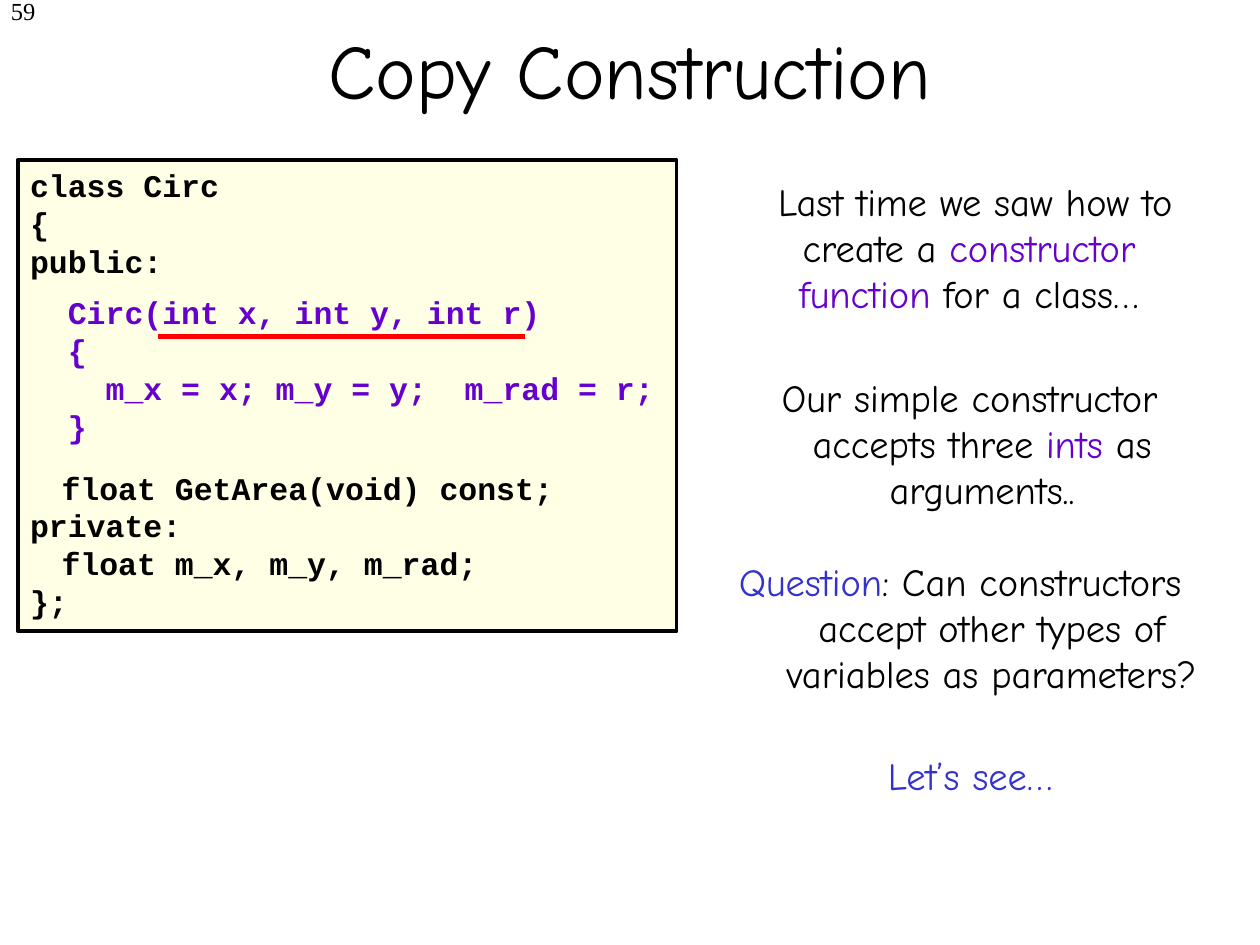
from dataclasses import dataclass

from lxml.etree import SubElement
from pptx import Presentation
from pptx.dml.color import RGBColor as RGB
from pptx.enum.shapes import MSO_CONNECTOR as CONN, MSO_SHAPE as SHAPE
from pptx.enum.text import MSO_ANCHOR as ANCHOR, PP_ALIGN as ALIGN
from pptx.oxml.ns import qn
from pptx.util import Inches, Pt


@dataclass(frozen=True)
class Theme:
    """Colours, fonts and type sizes of the slide."""
    ink: RGB = RGB(0x00, 0x00, 0x00)
    purple: RGB = RGB(0x66, 0x00, 0xCC)
    blue: RGB = RGB(0x33, 0x33, 0xCC)
    red: RGB = RGB(0xFF, 0x00, 0x00)
    cream: RGB = RGB(0xFF, 0xFF, 0xE5)
    prose: str = "Comic Neue"
    code: str = "Courier New"
    number: str = "Times New Roman"
    title_size: int = 44
    prose_size: int = 22
    code_size: int = 18
    number_size: int = 14
    leading: float = 1.2


T = Theme()
COLS, ROWS = 100, 75
CLASS_TOP = ["class Circ", "{", "public:"]
CLASS_REST = ["\tfloat GetArea(void) const;", "private:",
              "\tfloat m_x, m_y, m_rad;", "};"]
CONSTRUCTOR = [" Circ(int x, int y, int r)", " {",
               "   m_x = x; m_y = y;  m_rad = r;", " }"]
HIDDEN_LINES = 5
NOTES = [
    ((53.8, 13.6, 41.2, 12.1), 0.1,
     [("Last time we saw how to create a ", T.ink),
      ("constructor function", T.purple), (" for a class…", T.ink)]),
    ((56.3, 29.2, 38.3, 12.1), -0.2,
     [("Our simple constructor accepts three ", T.ink),
      ("ints", T.purple), (" as arguments..", T.ink)]),
    ((54.1, 43.8, 44.2, 12), -0.5,
     [("Question", T.blue),
      (": Can constructors accept other types of variables as parameters?", T.ink)]),
    ((55.8, 59.2, 42.4, 4.7), -0.5, [("Let’s see…", T.blue)]),
]


def grid(prs, *cells):
    """Turn alternating column and row counts into slide lengths."""
    units = (prs.slide_width / COLS, prs.slide_height / ROWS)
    return [round(n * units[i % 2]) for i, n in enumerate(cells)]


def style(r, font, size, color, bold=False):
    """Format one run."""
    r.font.name, r.font.size, r.font.bold = font, Pt(size), bold
    r.font.color.rgb = color


def add_box(prs, s, area):
    """Add an empty, wrapping text box."""
    sp = s.shapes.add_textbox(*grid(prs, *area))
    sp.text_frame.word_wrap = True
    return sp


def set_title(prs, s, text):
    """Place and format the title placeholder."""
    sp = s.shapes.title
    sp.left, sp.top, sp.width, sp.height = grid(prs, 7.5, -0.8, 85, 12.5)
    tf = sp.text_frame
    tf.text, tf.vertical_anchor = text, ANCHOR.MIDDLE
    p = tf.paragraphs[0]
    p.alignment = ALIGN.CENTER
    style(p.runs[0], T.prose, T.title_size, T.ink)


def add_number(prs, s, text):
    """Add the slide number in the top left corner."""
    p = add_box(prs, s, (-17, -0.8, 20.8, 5)).text_frame.paragraphs[0]
    p.text, p.alignment = text, ALIGN.RIGHT
    style(p.runs[0], T.number, T.number_size, T.ink)


def add_note(prs, s, area, first, parts):
    """Add a centred remark with its own first-line indent."""
    p = add_box(prs, s, area).text_frame.paragraphs[0]
    p.alignment, p.line_spacing = ALIGN.CENTER, Pt(T.prose_size * T.leading)
    pPr = p._p.get_or_add_pPr()
    pPr.set("marL", str(Inches(0.5)))
    pPr.set("indent", str(Inches(first)))
    for text, color in parts:
        r = p.add_run()
        r.text = text
        style(r, T.prose, T.prose_size, color)


def write_code(tf, lines, color):
    """Fill a text frame with lines of code."""
    tf.text = "\n".join(lines)
    for p in tf.paragraphs:
        p.alignment, p.line_spacing = ALIGN.LEFT, Pt(T.code_size * T.leading)
        tabs = SubElement(p._p.get_or_add_pPr(), qn("a:tabLst"))
        SubElement(tabs, qn("a:tab"), pos=str(Inches(0.25)), algn="l")
        for r in p.runs:
            style(r, T.code, T.code_size, color, bold=True)


def add_class(prs, s):
    """Add the framed class with room left for its constructor."""
    sp = s.shapes.add_shape(SHAPE.RECTANGLE, *grid(prs, 1.4, 12.7, 52.3, 37.4))
    sp.shadow.inherit = False
    sp.fill.solid()
    sp.fill.fore_color.rgb = T.cream
    sp.line.color.rgb, sp.line.width = T.ink, Pt(2.25)
    tf = sp.text_frame
    tf.vertical_anchor, tf.word_wrap = ANCHOR.TOP, True
    write_code(tf, CLASS_TOP + CLASS_REST, T.ink)
    gap = HIDDEN_LINES * T.code_size * T.leading
    tf.paragraphs[len(CLASS_TOP)].space_before = Pt(gap)


def add_constructor(prs, s):
    """Add the highlighted constructor inside the class."""
    tf = add_box(prs, s, (2.9, 22.8, 50, 13)).text_frame
    tf.word_wrap = False
    write_code(tf, CONSTRUCTOR, T.purple)


def add_underline(prs, s):
    """Underline the constructor's parameters."""
    sp = s.shapes.add_connector(CONN.STRAIGHT, *grid(prs, 12.5, 26.7, 41.7, 26.7))
    sp.line.color.rgb, sp.line.width = T.red, Pt(3)
    SubElement(sp._element.spPr, qn("a:effectLst"))


def main():
    """Build and save the slide."""
    prs = Presentation()
    prs.slide_width, prs.slide_height = Inches(10), Inches(7.5)
    s = prs.slides.add_slide(prs.slide_layouts[5])
    add_number(prs, s, "59")
    set_title(prs, s, "Copy Construction")
    add_class(prs, s)
    add_constructor(prs, s)
    add_underline(prs, s)
    for area, first, parts in NOTES:
        add_note(prs, s, area, first, parts)
    prs.save("out.pptx")


if __name__ == "__main__":
    main()
